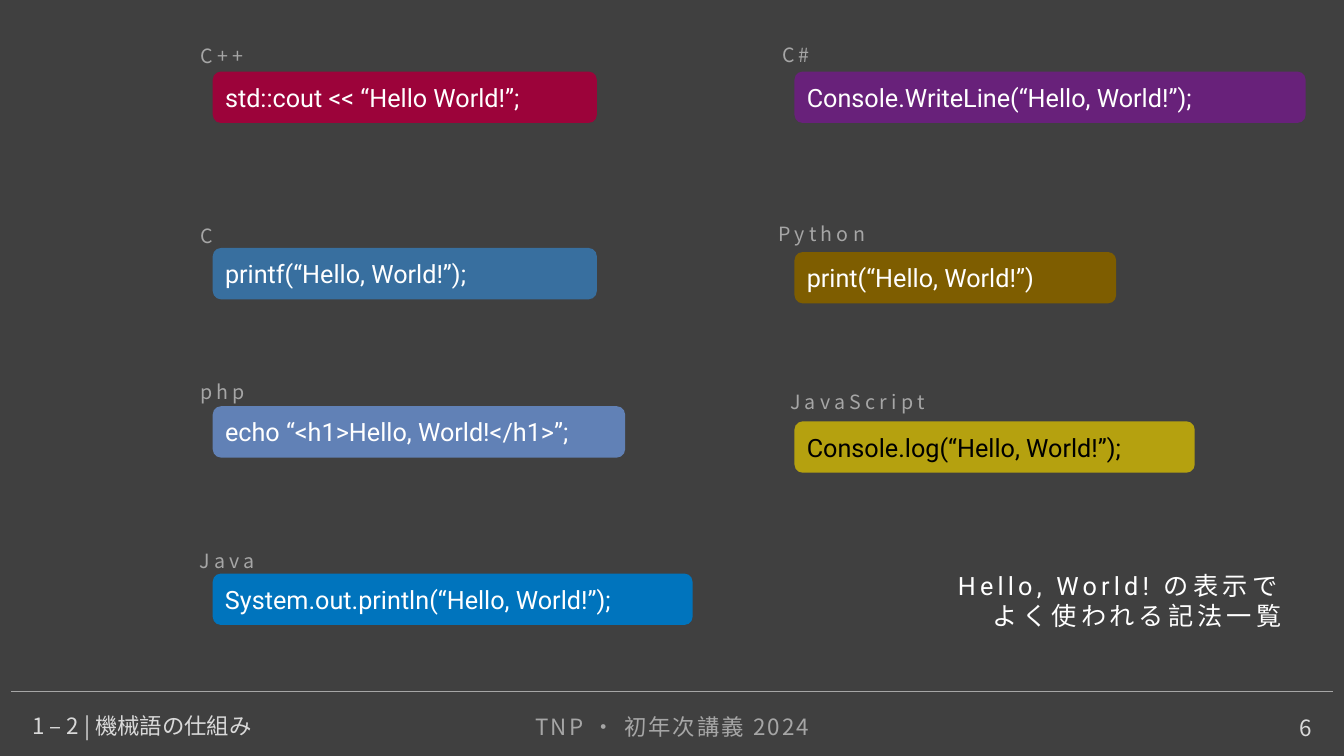
from dataclasses import dataclass

from lxml import etree
from pptx import Presentation
from pptx import util as u
from pptx.dml.color import RGBColor
from pptx.enum import shapes, text
from pptx.oxml.ns import qn

In = u.Inches
LEFT, MID, RIGHT = text.PP_ALIGN.LEFT, text.PP_ALIGN.CENTER, text.PP_ALIGN.RIGHT


@dataclass(frozen=True)
class Theme:
    back: str = "404040"
    gray: str = "A6A6A6"
    pale: str = "D9D9D9"
    white: str = "FFFFFF"
    black: str = "000000"
    sans: str = "Noto Sans CJK JP"
    code: str = "Roboto"
    label: int = 14
    foot: int = 16
    main: int = 18
    wide: float = 1.5
    loose: float = 3


T = Theme()
COLS = (2.11, 7.88)
BAR = 0.51

# name, name box (left, top, width), column, bar top, bar width, fill, code, ink
CODES = (
    ("C++", (1.89, 0.31, 0.98), 0, 0.71, 3.81, "9C033A",
     "std::cout << “Hello World!”;", T.white),
    ("C", (1.89, 2.1, 0.98), 0, 2.46, 3.81, "386F9F",
     "printf(“Hello, World!”);", T.white),
    ("php", (1.89, 3.65, 0.98), 0, 4.03, 4.09, "6181B6",
     "echo “<h1>Hello, World!</h1>”;", T.white),
    ("Java", (1.88, 5.32, 0.98), 0, 5.69, 4.76, "0074BD",
     "System.out.println(“Hello, World!”);", T.white),
    ("C#", (7.66, 0.3, 0.98), 1, 0.71, 5.07, "68217A",
     "Console.WriteLine(“Hello, World!”);", T.white),
    ("Python", (7.62, 2.08, 1.22), 1, 2.5, 3.19, "7E5D00",
     "print(“Hello, World!”)", T.white),
    ("JavaScript", (7.74, 3.75, 2.16), 1, 4.18, 3.97, "B5A10F",
     "Console.log(“Hello, World!”);", T.black),
)


def rgb(code):
    return RGBColor.from_string(code)


def write(shape, words, size, ink, face=T.sans, align=LEFT, gap=0,
          anchor=text.MSO_ANCHOR.TOP):
    """Fill a shape with one styled paragraph; gap is letter spacing in points."""
    frame = shape.text_frame
    frame.word_wrap = True
    frame.auto_size = text.MSO_AUTO_SIZE.NONE
    frame.vertical_anchor = anchor
    frame.text = words
    para = frame.paragraphs[0]
    para.alignment = align
    font = para.font
    font.size, font.name = u.Pt(size), face
    font.color.rgb = rgb(ink)
    props = para._p.pPr.find(qn("a:defRPr"))
    if gap:
        props.set("spc", str(int(gap * 100)))
    east = etree.Element(qn("a:ea"), typeface=T.sans)
    props.find(qn("a:latin")).addnext(east)
    return para


def add_text(slide, box, words, size, ink, **style):
    shape = slide.shapes.add_textbox(*map(In, box))
    return write(shape, words, size, ink, **style)


def add_title(slide, box, words):
    title = slide.shapes.title
    title.left, title.top, title.width, title.height = map(In, box)
    write(title, words, T.foot, T.pale, anchor=text.MSO_ANCHOR.MIDDLE)


def add_rule(slide, left, right, top):
    line = slide.shapes.add_connector(
        shapes.MSO_CONNECTOR.STRAIGHT, In(left), In(top), In(right), In(top))
    line.line.color.rgb = rgb(T.gray)
    line.line.width = u.Pt(0.5)
    etree.SubElement(line._element.spPr, qn("a:effectLst"))


def add_bar(slide, box, fill, words, ink):
    bar = slide.shapes.add_shape(
        shapes.MSO_SHAPE.ROUNDED_RECTANGLE, *map(In, box))
    bar.adjustments[0] = 0.16
    bar.shadow.inherit = False
    bar.fill.solid()
    bar.fill.fore_color.rgb = rgb(fill)
    bar.line.fill.background()
    write(bar, words, T.main, ink, face=T.code, anchor=text.MSO_ANCHOR.MIDDLE)
    frame = bar.text_frame
    frame.margin_left = frame.margin_right = In(0.1)
    frame.margin_top = frame.margin_bottom = In(0.08)


def add_name(slide, place, words):
    para = add_text(slide, (*place, 0.43), words, T.label, T.gray,
                    gap=T.loose, anchor=text.MSO_ANCHOR.MIDDLE)
    para.line_spacing = 1.2


def main():
    deck = Presentation()
    deck.slide_width, deck.slide_height = In(13.33), In(7.5)
    slide = deck.slides.add_slide(deck.slide_layouts[5])
    slide.background.fill.solid()
    slide.background.fill.fore_color.rgb = rgb(T.back)

    add_rule(slide, 0.11, 13.22, 6.86)
    add_title(slide, (0.22, 7, 4.05, 0.4), "1 – 2 | 機械語の仕組み")
    add_text(slide, (4.42, 7.03, 4.5, 0.4), "TNP ・ 初年次講義 2024",
             T.foot, T.gray, align=MID, gap=T.wide)
    add_text(slide, (9.06, 7, 4.05, 0.4), "6", T.foot, T.pale,
             align=RIGHT, anchor=text.MSO_ANCHOR.BOTTOM)
    add_text(slide, (7.44, 5.61, 5.37, 0.71),
             "Hello, World! の表示で\vよく使われる記法一覧", T.main, T.white,
             face=T.code, align=RIGHT, gap=T.loose)

    for name, place, col, top, width, fill, code, ink in CODES:
        add_bar(slide, (COLS[col], top, width, BAR), fill, code, ink)
        add_name(slide, place, name)

    deck.save("out.pptx")


if __name__ == "__main__":
    main()
